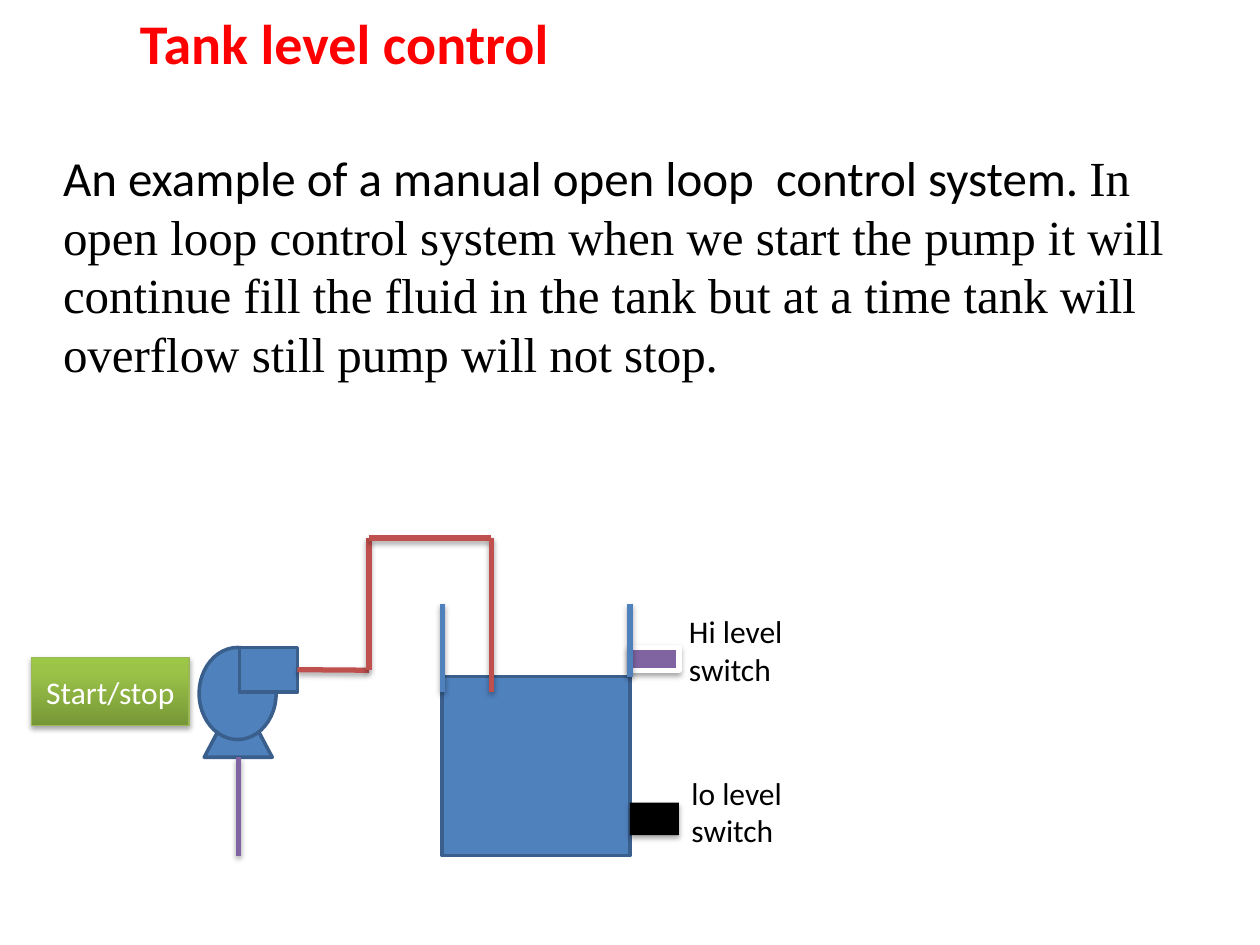
from copy import deepcopy
from dataclasses import dataclass

from pptx import Presentation
from pptx.dml.color import RGBColor
from pptx.enum import shapes, text
from pptx.oxml import parse_xml
from pptx.oxml import ns
from pptx.util import Pt


@dataclass(frozen=True)
class Theme:
    red: str = "FF0000"
    black: str = "000000"
    white: str = "FFFFFF"
    blue: str = "4F81BD"
    outline: str = "3A5F8C"
    pipe: str = "C0504D"
    purple: str = "8064A2"
    button_line: str = "98B955"
    button_stops: tuple = ((0, "779737"), (0.8, "9BC348"), (1, "9DC746"))
    sans: str = "Calibri"
    serif: str = "Times New Roman"
    title_size: float = 32
    body_size: float = 28
    label_size: float = 18
    thick: float = 3
    edge: float = 2


THEME = Theme()
RECTANGLE = shapes.MSO_SHAPE.RECTANGLE


def rgb(value):
    return RGBColor.from_string(value)


def write(paragraph, words, size, color=THEME.black, font=THEME.sans, bold=False):
    run = paragraph.add_run()
    run.text = words
    run.font.size = Pt(size)
    run.font.name = font
    run.font.bold = bold
    run.font.color.rgb = rgb(color)


def add_text_box(slide, box, inset=True):
    """Add a wrapping text box and return its first paragraph."""
    frame = slide.shapes.add_textbox(*map(Pt, box)).text_frame
    frame.word_wrap = True
    if not inset:
        frame.margin_left = frame.margin_top = 0
        frame.margin_right = frame.margin_bottom = 0
    return frame.paragraphs[0]


def add_shadow(element):
    """Give a shape or connector the soft shadow that falls below it."""
    properties = element.spPr
    for effects in properties.findall(ns.qn("a:effectLst")):
        properties.remove(effects)
    properties.append(parse_xml(
        f'<a:effectLst {ns.nsdecls("a")}>'
        f'<a:outerShdw blurRad="{Pt(3.1)}" dist="{Pt(1.8)}" dir="5400000" rotWithShape="0">'
        f'<a:srgbClr val="{THEME.black}"><a:alpha val="35000"/></a:srgbClr>'
        '</a:outerShdw></a:effectLst>'))


def add_shape(parent, kind, box, fill=THEME.blue, line=THEME.outline,
              width=THEME.edge, shadow=False):
    shape = parent.shapes.add_shape(kind, *map(Pt, box))
    shape.shadow.inherit = False
    shape.fill.solid()
    shape.fill.fore_color.rgb = rgb(fill)
    if line:
        shape.line.color.rgb = rgb(line)
        shape.line.width = Pt(width)
    else:
        shape.line.fill.background()
    if shadow:
        add_shadow(shape.element)
    return shape


def add_line(slide, start, end, color):
    line = slide.shapes.add_connector(
        shapes.MSO_CONNECTOR.STRAIGHT, *map(Pt, (*start, *end)))
    line.line.color.rgb = rgb(color)
    line.line.width = Pt(THEME.thick)
    add_shadow(line.element)
    return line


def add_heading(slide, box):
    paragraph = add_text_box(slide, box, inset=False)
    write(paragraph, "Tank level control", THEME.title_size, THEME.red, bold=True)


def add_description(slide, box):
    paragraph = add_text_box(slide, box, inset=False)
    write(paragraph, "An example of a manual open loop  control system. ", THEME.body_size)
    write(paragraph,
          "In open loop control system when we start the pump it will continue fill "
          "the fluid in the tank but at a time tank will overflow still pump will not stop.",
          THEME.body_size, font=THEME.serif)


def add_tank(slide, box):
    """Draw the fluid, the walls above it and the two level switches."""
    left, top, width, height = box
    right = left + width
    fluid_top = top + 41.8
    add_shape(slide, RECTANGLE, (left, fluid_top, width, height - 41.8))
    add_shape(slide, RECTANGLE, (right, top + 25.2, 28, 13), THEME.purple,
              THEME.white, THEME.thick, shadow=True)
    add_shape(slide, RECTANGLE, (right, top + 113.8, 28, 18.6), THEME.black,
              None, shadow=True)
    add_line(slide, (right, top), (right, fluid_top), THEME.blue)
    add_line(slide, (left, top), (left, top + 50.4), THEME.blue)
    for words, x, y in (("Hi level switch", 26.6, 1.4), ("lo level switch", 28, 93.6)):
        paragraph = add_text_box(slide, (right + x, top + y, 87.1, 50.9))
        write(paragraph, words, THEME.label_size)


def add_pump(slide, box):
    """Draw the pump with its suction line and return its outlet."""
    left, top, width, height = box
    group = slide.shapes.add_group_shape()
    add_shape(group, shapes.MSO_SHAPE.ISOSCELES_TRIANGLE,
              (left + 2.9, top + height - 36.7, 38.9, 36.7))
    add_shape(group, shapes.MSO_SHAPE.OVAL, (left, top, 44, 52.6))
    outlet = add_shape(group, RECTANGLE, (left + width - 33.1, top, 33.1, 25.4))
    bottom = top + height
    add_line(slide, (left + 22.3, bottom), (left + 22.3, bottom + 56.2), THEME.purple)
    return outlet


def add_pipe(slide, box, outlet):
    """Lead the pipe from the pump outlet up, across and down into the tank."""
    left, top, width, height = box
    bend = left + 40.8
    level = top + 75.6
    right = left + width
    points = ((left, level), (bend, level), (bend, top), (right, top),
              (right, top + height))
    lines = [add_line(slide, start, end, THEME.pipe)
             for start, end in zip(points, points[1:])]
    lines[0].begin_connect(outlet, 3)


def add_button(slide, box):
    button = add_shape(slide, RECTANGLE, box, line=THEME.button_line,
                       width=0.75, shadow=True)
    button.fill.gradient()
    button.fill.gradient_angle = 90
    stop_list = next(button.element.iter(ns.qn("a:gsLst")))
    stop_list.append(deepcopy(stop_list[-1]))
    for stop, (position, color) in zip(button.fill.gradient_stops, THEME.button_stops):
        stop.position = position
        stop.color.rgb = rgb(color)
    frame = button.text_frame
    frame.word_wrap = True
    frame.vertical_anchor = text.MSO_ANCHOR.MIDDLE
    paragraph = frame.paragraphs[0]
    paragraph.alignment = text.PP_ALIGN.CENTER
    write(paragraph, "Start/stop", THEME.label_size, THEME.white)


def main():
    presentation = Presentation()
    presentation.slide_width, presentation.slide_height = Pt(720), Pt(540)
    slide = presentation.slides.add_slide(presentation.slide_layouts[6])
    add_heading(slide, (80, 5, 561, 40.3))
    add_description(slide, (36, 84.2, 666, 156.2))
    add_tank(slide, (252.7, 344.9, 107.3, 144))
    outlet = add_pump(slide, (113.8, 370, 56.2, 62.7))
    add_pipe(slide, (170, 307.4, 110.8, 87.9), outlet)
    add_button(slide, (18, 375.8, 90, 38.9))
    presentation.save("out.pptx")


if __name__ == "__main__":
    main()
